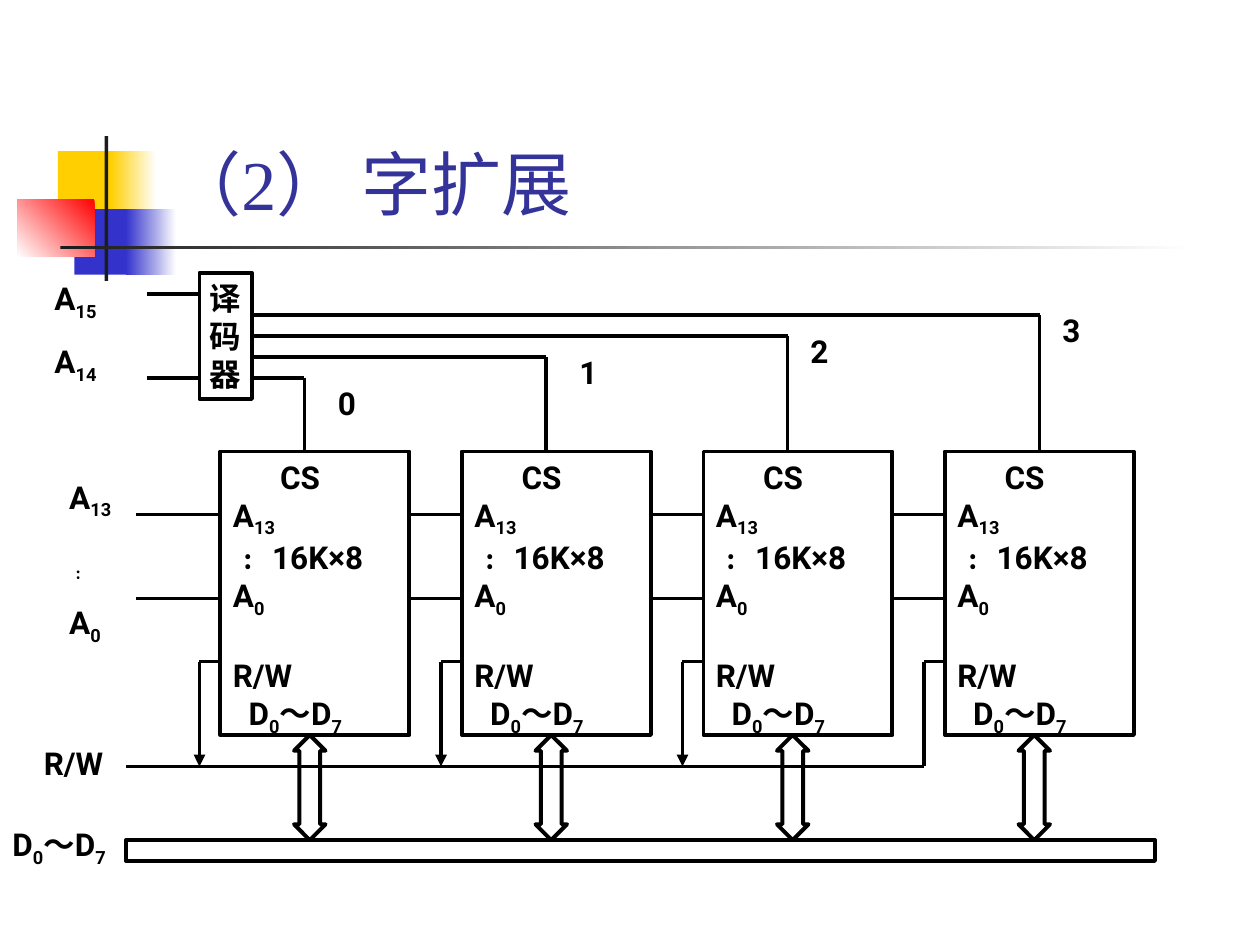
from dataclasses import dataclass
from typing import NamedTuple, Optional

from lxml.etree import SubElement
from pptx import Presentation
from pptx.dml.color import RGBColor
from pptx.enum.shapes import MSO_CONNECTOR, MSO_SHAPE
from pptx.enum.text import MSO_ANCHOR, MSO_AUTO_SIZE, PP_ALIGN
from pptx.oxml.ns import qn
from pptx.util import Inches, Pt


@dataclass(frozen=True)
class Theme:
    ink: str = "000000"
    title: str = "333399"
    yellow: str = "FFCF01"
    blue: str = "3333CC"
    red: str = "FF0000"
    rule: str = "1C1C1C"
    white: str = "FFFFFF"
    title_font: str = "Times New Roman"
    body_font: str = "Roboto"
    title_size: float = 40
    body_size: float = 18
    line_width: float = 2.25
    label_gap: float = 11.2


class Box(NamedTuple):
    """Left, top, width and height in grid cells."""
    left: float
    top: float
    width: float
    height: float


class Block(NamedTuple):
    """Decorative rectangle; with a fade angle it blends into white."""
    box: Box
    color: str
    fade: Optional[float] = None


class Line(NamedTuple):
    """One paragraph; parts between bars are alternately normal and subscript."""
    text: str
    indent: float = 0
    before: float = 0


class Label(NamedTuple):
    box: Box
    texts: tuple


THEME = Theme()
CELL = Inches(10) / 120  # the slide is 120 columns by 90 rows

# Memory chips: four on a constant pitch
CHIP_COUNT, CHIP_LEFT, CHIP_PITCH = 4, 21, 23
CHIP_TOP, CHIP_WIDTH, CHIP_HEIGHT = 43, 18, 27
CHIP_BOTTOM = CHIP_TOP + CHIP_HEIGHT
ADDRESS_ROWS = (49, 57)
WRITE_ROW, WRITE_BUS_ROW, DATA_BUS_ROW = 63, 73, 80
DECODER = Box(19, 26, 5, 12)
SELECT_COLUMNS = (29, 52, 75, 99)

CHIP_LINES = (
    Line("CS", indent=4.5), Line("A|13"), Line("﹕ 16K×8"), Line("A|0"),
    Line("R/W", before=21), Line("D|0|～D|7", indent=1.5),
)
DECODER_LINES = (Line("译"), Line("码"), Line("器"))

BLOCKS = (
    Block(Box(5.52, 14.4, 5.76, 6.24), THEME.yellow),
    Block(Box(10.56, 14.4, 4.32, 6.24), THEME.yellow, 0),
    Block(Box(7.08, 19.92, 5.52, 6.24), THEME.blue),
    Block(Box(12, 19.92, 4.8, 6.24), THEME.blue, 0),
    Block(Box(1.68, 18.96, 7.32, 5.52), THEME.red, 225),
    Block(Box(9.96, 12.96, 0.36, 13.8), THEME.rule),
    Block(Box(5.76, 23.4, 108, 0.36), THEME.rule, 0),
)
LABELS = (
    Label(Box(31, 36, 4, 4.8), ("0",)),
    Label(Box(54, 33, 4, 4.8), ("1",)),
    Label(Box(76, 31, 4, 4.8), ("2",)),
    Label(Box(100, 29, 4, 4.8), ("3",)),
    Label(Box(4, 26, 8, 11.3), ("A|15", "A|14")),
    Label(Box(5.4, 44.9, 8, 17.3), ("A|13", "|﹕", "A|0")),
    Label(Box(3, 70.3, 10, 4.8), ("R/W",)),
    Label(Box(0, 78, 15, 5.3), ("D|0|～D|7",)),
)


def cells(count: float) -> int:
    return round(count * CELL)


def apply(target, values: dict) -> None:
    for name, value in values.items():
        setattr(target, name, value)


def place(box: Box) -> list:
    return [cells(value) for value in box]


def style_font(font, name: str, size: float, color: str, bold: bool) -> None:
    apply(font, {"name": name, "size": Pt(size), "bold": bold})
    font.color.rgb = RGBColor.from_string(color)


def write_lines(shape, lines, align=PP_ALIGN.LEFT, anchor=MSO_ANCHOR.TOP, wrap=True) -> None:
    frame = shape.text_frame
    apply(frame, {"word_wrap": wrap, "vertical_anchor": anchor})
    for index, line in enumerate(lines):
        paragraph = frame.add_paragraph() if index else frame.paragraphs[0]
        apply(paragraph, {"alignment": align, "space_before": Pt(line.before)})
        if line.indent:
            paragraph._p.get_or_add_pPr().set("marL", str(cells(line.indent)))
        for position, part in enumerate(line.text.split("|")):
            if not part:
                continue
            run = paragraph.add_run()
            run.text = part
            style_font(run.font, THEME.body_font, THEME.body_size, THEME.ink, True)
            if position % 2:
                run._r.get_or_add_rPr().set("baseline", "-25000")


def add_outline(slide, box: Box, kind=MSO_SHAPE.RECTANGLE):
    shape = slide.shapes.add_shape(kind, *place(box))
    shape.shadow.inherit = False
    shape.fill.background()
    shape.line.color.rgb = RGBColor.from_string(THEME.ink)
    shape.line.width = Pt(THEME.line_width)
    return shape


def add_block(slide, block: Block) -> None:
    shape = slide.shapes.add_shape(MSO_SHAPE.RECTANGLE, *place(block.box))
    shape.shadow.inherit = False
    shape.line.fill.background()
    if block.fade is None:
        shape.fill.solid()
        shape.fill.fore_color.rgb = RGBColor.from_string(block.color)
        return
    shape.fill.gradient()
    shape.fill.gradient_angle = block.fade
    for stop, color in zip(shape.fill.gradient_stops, (block.color, THEME.white)):
        stop.color.rgb = RGBColor.from_string(color)


def add_wire(slide, *points: tuple, arrow: bool = False) -> None:
    """Joins the points with straight lines; an arrow ends the last one."""
    for index, (start, end) in enumerate(zip(points, points[1:]), 2):
        wire = slide.shapes.add_connector(
            MSO_CONNECTOR.STRAIGHT, *map(cells, start + end))
        wire.line.color.rgb = RGBColor.from_string(THEME.ink)
        wire.line.width = Pt(THEME.line_width)
        if arrow and index == len(points):
            SubElement(wire.line._get_or_add_ln(), qn("a:tailEnd"), type="triangle")
        SubElement(wire._element.spPr, qn("a:effectLst"))


def add_title(slide, text: str) -> None:
    title = slide.shapes.title
    apply(title, dict(zip(("left", "top", "width", "height"),
                          place(Box(15.12, 2.76, 102.24, 19.2)))))
    frame = title.text_frame
    frame.text = text
    apply(frame, {"vertical_anchor": MSO_ANCHOR.BOTTOM, "auto_size": MSO_AUTO_SIZE.NONE})
    paragraph = frame.paragraphs[0]
    paragraph.alignment = PP_ALIGN.LEFT
    style_font(paragraph.runs[0].font, THEME.title_font, THEME.title_size, THEME.title, False)


def add_chip(slide, number: int) -> None:
    left = CHIP_LEFT + number * CHIP_PITCH
    first, last = number == 0, number == CHIP_COUNT - 1
    # Address lines come from the label or from the previous chip
    source = 13 if first else left - CHIP_PITCH + CHIP_WIDTH
    for row in ADDRESS_ROWS:
        add_wire(slide, (source, row), (left, row))
    # Read/write line, chip select line and data arrow
    add_wire(slide, (left, WRITE_ROW), (left - 2, WRITE_ROW),
             (left - 2, WRITE_BUS_ROW), arrow=not last)
    select_row, select_column = 36 - 2 * number, SELECT_COLUMNS[number]
    add_wire(slide, (DECODER.left + DECODER.width, select_row),
             (select_column, select_row), (select_column, CHIP_TOP))
    arrow = add_outline(slide, Box(left + 7, CHIP_BOTTOM, 3, DATA_BUS_ROW - CHIP_BOTTOM),
                        MSO_SHAPE.UP_DOWN_ARROW)
    arrow.adjustments[1] = 0.66
    chip = add_outline(slide, Box(left, CHIP_TOP, CHIP_WIDTH, CHIP_HEIGHT))
    write_lines(chip, CHIP_LINES)


def main() -> None:
    presentation = Presentation()
    apply(presentation, {"slide_width": cells(120), "slide_height": cells(90)})
    slide = presentation.slides.add_slide(presentation.slide_layouts[5])

    # Title and its decoration
    for block in BLOCKS:
        add_block(slide, block)
    add_title(slide, "（2） 字扩展")

    # Decoder with its two inputs
    decoder = add_outline(slide, DECODER)
    write_lines(decoder, DECODER_LINES, PP_ALIGN.CENTER, MSO_ANCHOR.MIDDLE, wrap=False)
    for row in (28, 36):
        add_wire(slide, (14, row), (DECODER.left, row))

    # Buses and chips
    last_write_column = CHIP_LEFT + (CHIP_COUNT - 1) * CHIP_PITCH - 2
    add_wire(slide, (12, WRITE_BUS_ROW), (last_write_column, WRITE_BUS_ROW))
    add_outline(slide, Box(12, DATA_BUS_ROW, 98, 2))
    for number in range(CHIP_COUNT):
        add_chip(slide, number)

    # Signal labels
    for label in LABELS:
        lines = [Line(text, before=THEME.label_gap if index else 0)
                 for index, text in enumerate(label.texts)]
        write_lines(slide.shapes.add_textbox(*place(label.box)), lines)

    presentation.save("out.pptx")


if __name__ == "__main__":
    main()
